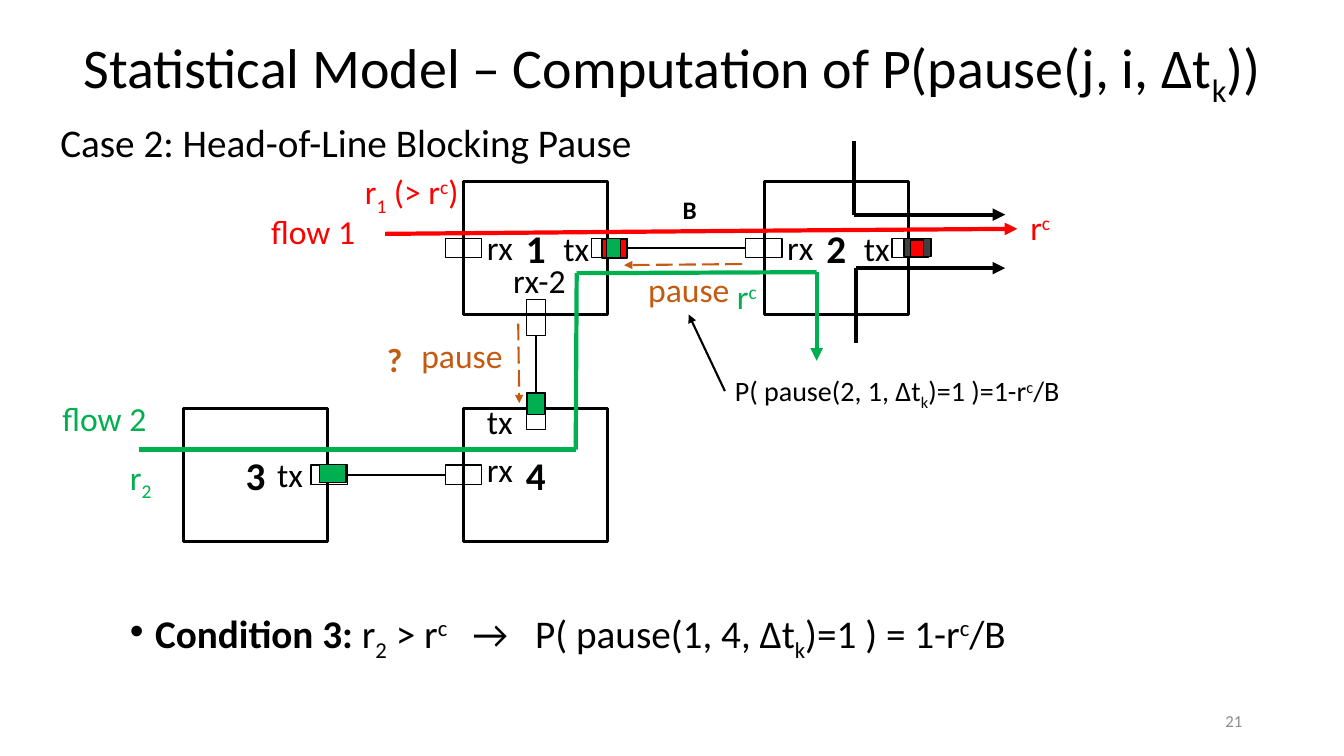
from itertools import pairwise

from lxml import etree
from pptx import Presentation
from pptx.dml.color import RGBColor
from pptx.enum.dml import MSO_LINE
from pptx.enum.shapes import MSO_CONNECTOR, MSO_SHAPE
from pptx.enum.text import MSO_ANCHOR, MSO_AUTO_SIZE, PP_ALIGN
from pptx.oxml.ns import qn
from pptx.util import Pt

PX = 9144  # 100 px to the inch
FONT = "Calibri"
COLORS = {"black": "000000", "red": "FF0000", "green": "00B050",
          "orange": "C55A11", "dark": "404040", "gray": "8C8C8C"}
LEFT, CENTER, RIGHT = PP_ALIGN.LEFT, PP_ALIGN.CENTER, PP_ALIGN.RIGHT
TOP, MIDDLE = MSO_ANCHOR.TOP, MSO_ANCHOR.MIDDLE
FIT, NO_FIT = MSO_AUTO_SIZE.SHAPE_TO_FIT_TEXT, MSO_AUTO_SIZE.NONE
RECTANGLE, STRAIGHT = MSO_SHAPE.RECTANGLE, MSO_CONNECTOR.STRAIGHT
LONG_DASH = MSO_LINE.LONG_DASH
BASELINES = {"_": "-25000", "^": "30000"}
SWITCH_WIDTH, SWITCH_HEIGHT = 143, 132
PORT_WIDTH, PORT_LENGTH = 19, 36


def px(*lengths):
    return [length * PX for length in lengths]


def color(name):
    return RGBColor.from_string(COLORS[name])


# Text: "_" lowers and "^" raises the character after it
def split_scripts(text):
    runs, mark = [], None
    for character in text:
        if character in BASELINES:
            mark = character
        elif mark or not runs or runs[-1][1]:
            runs.append([character, mark])
            mark = None
        else:
            runs[-1][0] += character
    return runs


def write(frame, text, size=24, ink="black", bold=False, lead="",
          align=LEFT, anchor=TOP, wrap=False, fit=FIT):
    frame.word_wrap, frame.auto_size, frame.vertical_anchor = wrap, fit, anchor
    paragraph = frame.paragraphs[0]
    paragraph.alignment = align
    runs = [(part, mark, bold) for part, mark in split_scripts(text)]
    if lead:
        runs.insert(0, (lead, None, True))
    for part, mark, heavy in runs:
        run = paragraph.add_run()
        run.text = part
        run.font.name, run.font.size, run.font.bold = FONT, Pt(size), heavy
        run.font.color.rgb = color(ink)
        if mark:
            run.font._element.set("baseline", BASELINES[mark])
    return paragraph


def label(slide, box, text, **text_format):
    shape = slide.shapes.add_textbox(*px(*box))
    return write(shape.text_frame, text, **text_format)


# Shapes and lines
def rectangle(slide, box, fill=None, weight=1, rotation=0):
    shape = slide.shapes.add_shape(RECTANGLE, *px(*box))
    shape.shadow.inherit = False
    shape.rotation = rotation
    if fill:
        shape.fill.solid()
        shape.fill.fore_color.rgb = color(fill)
    else:
        shape.fill.background()
    shape.line.color.rgb = color("black")
    shape.line.width = Pt(weight)
    return shape


def style_line(shape, ink, weight, arrow, dash=None):
    shape.line.color.rgb = color(ink)
    shape.line.width = Pt(weight)
    if dash:
        shape.line.dash_style = dash
    if arrow:
        etree.SubElement(shape.line._get_or_add_ln(), qn("a:tailEnd"), type="triangle")


def line(slide, start, end, ink="black", weight=1.5, arrow=False, dash=None):
    connector = slide.shapes.add_connector(STRAIGHT, *px(*start, *end))
    style_line(connector, ink, weight, arrow, dash)
    etree.SubElement(connector._element.spPr, qn("a:effectLst"))


def port(slide, left, top, rotation=90):
    rectangle(slide, (left, top, PORT_WIDTH, PORT_LENGTH), rotation=rotation)


# One switch with its side ports; rx and tx are label offsets
def add_switch(slide, left, top, number, rx=None, tx=None):
    body = rectangle(slide, (left, top, SWITCH_WIDTH, SWITCH_HEIGHT), weight=2.25)
    write(body.text_frame, number, size=28, bold=True, align=CENTER,
          anchor=MIDDLE, wrap=True, fit=NO_FIT)
    for name, offset, port_left in (("rx", rx, -10), ("tx", tx, 135)):
        if offset:
            port(slide, left + port_left, top + 48)
            label(slide, (left + offset[0], top + offset[1], 46, 50), name)


def add_title(slide, box):
    title = slide.shapes.title
    title.left, title.top, title.width, title.height = px(*box)
    write(title.text_frame, "Statistical Model – Computation of P(pause(j, i, ∆t_k))",
          size=40, align=CENTER, wrap=True)


def add_network(slide, left, top):
    def at(x, y, *size):
        return (left + x, top + y, *size)

    # Switches and the vertical ports between 1 and 4
    add_switch(slide, *at(278, 40), "1", rx=(13, 40), tx=(89, 41))
    add_switch(slide, *at(576, 40), "2", rx=(13, 40), tx=(89, 41))
    add_switch(slide, *at(0, 265), "3", tx=(83, 40))
    add_switch(slide, *at(278, 265), "4", rx=(13, 35))
    for y in (157, 250):
        port(slide, *at(340, y), rotation=0)
    label(slide, at(291, 253, 46, 50), "tx")
    label(slide, at(317, 113, 74, 50), "rx-2")

    # Links
    for start, end in (((440, 106), (557, 106)), ((162, 331), (260, 331)),
                       ((350, 250), (350, 193))):
        line(slide, at(*start), at(*end))
    label(slide, at(485, 48, 34, 40), "B", size=18, bold=True, align=CENTER)

    # Flow 2
    route = [(-44, 306), (389, 306), (390, 131), (628, 130), (628, 218)]
    for start, end in pairwise(route):
        line(slide, at(*start), at(*end), "green", 3, arrow=end == route[-1])

    # Queued data, then flow 1 across it, then the inner cells
    rectangle(slide, at(719, 92, 18, 27), "dark", rotation=90)
    rectangle(slide, at(418, 94, 19, 25), "red", rotation=90)
    builder = slide.shapes.build_freeform(*at(200, 92), scale=PX)
    builder.add_line_segments([at(557, 89), at(827, 87)], close=False)
    flow = builder.convert_to_shape()
    flow.shadow.inherit = False
    flow.fill.background()
    style_line(flow, "red", 3, arrow=True)
    rectangle(slide, at(719, 100, 17, 13), "red", rotation=90)
    rectangle(slide, at(417, 99, 19, 14), "green", rotation=90)
    rectangle(slide, at(341, 250, 17, 21), "green")
    rectangle(slide, at(139, 317, 18, 26), "green", rotation=90)

    # Competing traffic at switch 2
    for start, corner, end in (((665, 0), (665, 73), (815, 73)),
                               ((667, 200), (667, 126), (815, 126))):
        line(slide, at(*start), at(*corner), weight=3)
        line(slide, at(*corner), at(*end), weight=3, arrow=True)

    # Pause messages and the pointer to their probability
    line(slide, at(554, 122), at(437, 123), "orange", arrow=True, dash=LONG_DASH)
    line(slide, at(332, 181), at(333, 260), "orange", arrow=True, dash=LONG_DASH)
    line(slide, at(537, 248), at(501, 172), arrow=True)
    label(slide, at(537, 226, 353, 44), "P( pause(2, 1, ∆t_k)=1 )=1-r^c/B", size=20)
    label(slide, at(192, 191, 36, 50), "?", ink="orange", bold=True)

    # Names and rates
    for x, y, width, text, ink in (
            (-130, 250, 104, "flow 2", "green"), (-63, 308, 43, "r_2", "green"),
            (539, 129, 41, "r^c", "green"), (77, 64, 104, "flow 1", "red"),
            (170, 25, 116, "r_1 (> r^c)", "red"), (830, 60, 41, "r^c", "red"),
            (226, 187, 102, "pause", "orange"), (451, 122, 102, "pause", "orange")):
        label(slide, at(x, y, width, 50), text, ink=ink)


def add_condition(slide, box):
    paragraph = label(slide, box, "r_2 > r^c\t→\tP( pause(1, 4, ∆t_k)=1 ) = 1-r^c/B",
                      size=28, lead="Condition 3: ", wrap=True, fit=NO_FIT)
    paragraph.line_spacing, paragraph.space_before = 0.9, Pt(10)
    properties = paragraph._element.get_or_add_pPr()
    properties.set("marL", str(25 * PX))
    properties.set("indent", str(-25 * PX))
    etree.SubElement(properties, qn("a:buFont"), typeface="Arial")
    etree.SubElement(properties, qn("a:buChar"), char="•")
    stops = etree.SubElement(properties, qn("a:tabLst"))
    for position in (340, 402):
        etree.SubElement(stops, qn("a:tab"), pos=str(position * PX), algn="l")


def main():
    presentation = Presentation()
    presentation.slide_width, presentation.slide_height = px(1333, 750)
    slide = presentation.slides.add_slide(presentation.slide_layouts[5])
    add_title(slide, (50, 27, 1233, 77))
    label(slide, (50, 112, 590, 57), "Case 2: Head-of-Line Blocking Pause", size=28)
    add_network(slide, 182, 140)
    add_condition(slide, (119, 600, 1086, 93))
    label(slide, (942, 695, 300, 40), "21", size=12, ink="gray", align=RIGHT,
          anchor=MIDDLE, wrap=True, fit=NO_FIT)
    presentation.save("out.pptx")


if __name__ == "__main__":
    main()
